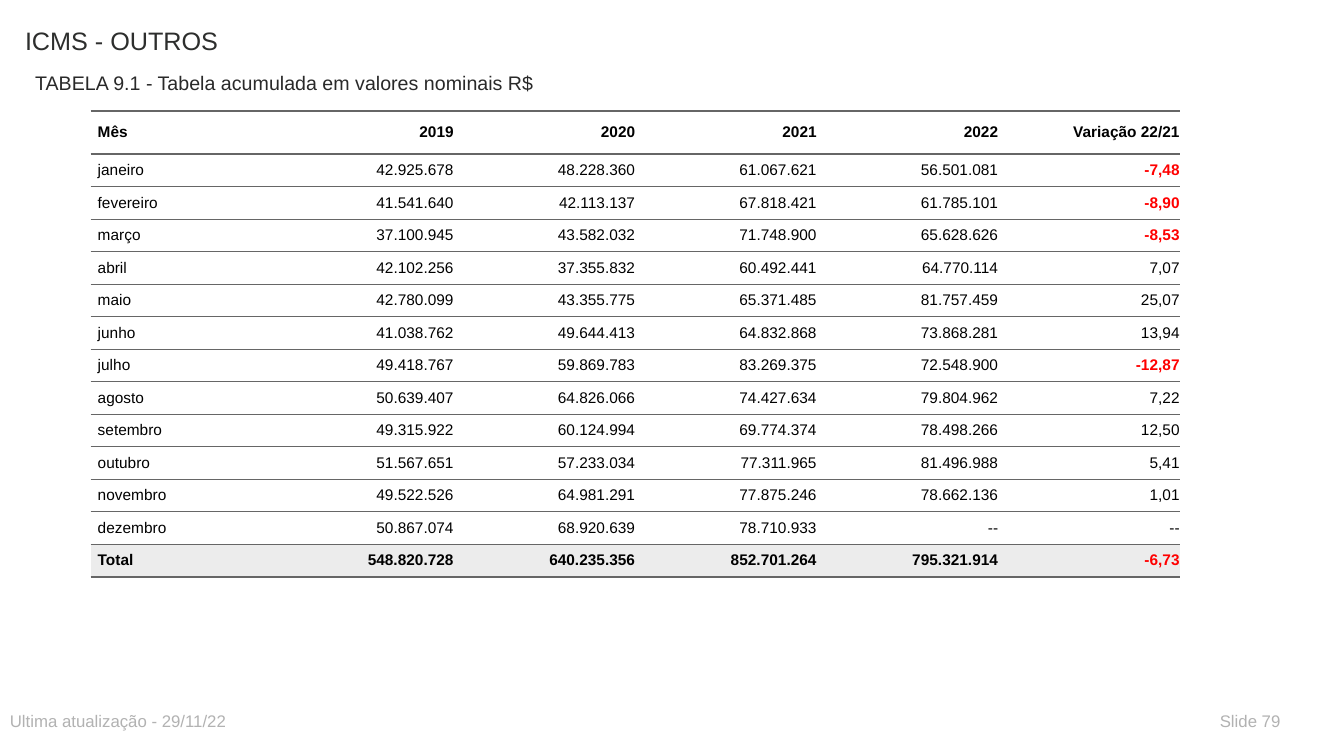
from dataclasses import dataclass

from lxml.etree import SubElement
from pptx import Presentation
from pptx.dml.color import RGBColor
from pptx.enum.text import MSO_ANCHOR, PP_ALIGN
from pptx.oxml.ns import qn
from pptx.slide import Slide
from pptx.table import _Cell as Cell
from pptx.text.text import TextFrame
from pptx.util import Emu, Inches, Pt

GRID = 0.05  # inches per grid column and grid row
COLORS = {
    "title": "2D2E2D",
    "subtitle": "292929",
    "footer": "B2B2B2",
    "text": "000000",
    "negative": "FF0000",
    "rule": "666666",
    "body": "FFFFFF",
    "total": "ECECEC",
}
NO_TABLE_STYLE = "{2D5ABB26-0587-4C30-8999-92F81FD0307C}"
THIN, THICK = 0.5, 2
CELL_MARGIN = Pt(5)


@dataclass(frozen=True)
class Caption:
    text: str
    column: int
    row: int
    columns: int
    rows: int
    size: int
    color: str


CAPTIONS = [
    Caption("ICMS - OUTROS", 3, 4, 160, 12, 18, "title"),
    Caption("TABELA 9.1 - Tabela acumulada em valores nominais R$",
            5, 13, 130, 6, 14, "subtitle"),
    Caption("Ultima atualização - 29/11/22", 0, 140, 130, 6, 12, "footer"),
    Caption("Slide 79", 240, 140, 18, 6, 12, "footer"),
]

REVENUE = [
    ("Mês", "2019", "2020", "2021", "2022", "Variação 22/21"),
    ("janeiro", "42.925.678", "48.228.360", "61.067.621", "56.501.081", "-7,48"),
    ("fevereiro", "41.541.640", "42.113.137", "67.818.421", "61.785.101", "-8,90"),
    ("março", "37.100.945", "43.582.032", "71.748.900", "65.628.626", "-8,53"),
    ("abril", "42.102.256", "37.355.832", "60.492.441", "64.770.114", "7,07"),
    ("maio", "42.780.099", "43.355.775", "65.371.485", "81.757.459", "25,07"),
    ("junho", "41.038.762", "49.644.413", "64.832.868", "73.868.281", "13,94"),
    ("julho", "49.418.767", "59.869.783", "83.269.375", "72.548.900", "-12,87"),
    ("agosto", "50.639.407", "64.826.066", "74.427.634", "79.804.962", "7,22"),
    ("setembro", "49.315.922", "60.124.994", "69.774.374", "78.498.266", "12,50"),
    ("outubro", "51.567.651", "57.233.034", "77.311.965", "81.496.988", "5,41"),
    ("novembro", "49.522.526", "64.981.291", "77.875.246", "78.662.136", "1,01"),
    ("dezembro", "50.867.074", "68.920.639", "78.710.933", "--", "--"),
    ("Total", "548.820.728", "640.235.356", "852.701.264", "795.321.914", "-6,73"),
]


def grid(units: float) -> Emu:
    return Inches(units * GRID)


def write(frame: TextFrame, text: str, *, size: int, color: str,
          bold: bool = False, align: PP_ALIGN = PP_ALIGN.LEFT,
          indent: Emu = Emu(0)) -> None:
    frame.word_wrap = True
    paragraph = frame.paragraphs[0]
    paragraph.alignment = align
    paragraph._p.get_or_add_pPr().set("marL", str(indent))
    run = paragraph.add_run()
    run.text = text
    run.font.name = "Arial"
    run.font.size = Pt(size)
    run.font.bold = bold
    run.font.color.rgb = RGBColor.from_string(COLORS[color])


def add_caption(slide: Slide, caption: Caption) -> None:
    box = slide.shapes.add_textbox(grid(caption.column), grid(caption.row),
                                   grid(caption.columns), grid(caption.rows))
    write(box.text_frame, caption.text, size=caption.size, color=caption.color)


def rule_cell(cell: Cell, top: float, bottom: float) -> None:
    """Draw the horizontal rules of a cell, with widths in points."""
    properties = cell._tc.get_or_add_tcPr()
    for side, width in (("a:lnT", top), ("a:lnB", bottom)):
        line = SubElement(properties, qn(side), w=str(Pt(width)))
        fill = SubElement(line, qn("a:solidFill"))
        SubElement(fill, qn("a:srgbClr"), val=COLORS["rule"])


def fill_cell(cell: Cell, text: str, *, is_label: bool, is_header: bool,
              is_total: bool, top: float, bottom: float) -> None:
    rule_cell(cell, top, bottom)
    cell.fill.solid()
    cell.fill.fore_color.rgb = RGBColor.from_string(
        COLORS["total" if is_total else "body"])
    cell.vertical_anchor = MSO_ANCHOR.MIDDLE
    cell.margin_left = cell.margin_right = 0
    cell.margin_top = cell.margin_bottom = CELL_MARGIN
    is_negative = text.startswith("-") and text != "--"
    write(cell.text_frame, text, size=11,
          color="negative" if is_negative else "text",
          bold=is_header or is_total or is_negative,
          align=PP_ALIGN.LEFT if is_label else PP_ALIGN.RIGHT,
          indent=CELL_MARGIN)


def add_revenue_table(slide: Slide) -> None:
    last = len(REVENUE) - 1
    frame = slide.shapes.add_table(len(REVENUE), len(REVENUE[0]), grid(18),
                                   grid(22), grid(216), grid(73.6))
    table = frame.table
    table.first_row = table.horz_banding = False
    table._tbl.tblPr.find(qn("a:tableStyleId")).text = NO_TABLE_STYLE
    for column in table.columns:
        column.width = grid(36)
    for index, values in enumerate(REVENUE):
        table.rows[index].height = grid(5 if index else 8.6)
        for position, text in enumerate(values):
            fill_cell(table.cell(index, position), text,
                      is_label=position == 0,
                      is_header=index == 0,
                      is_total=index == last,
                      top=THICK if index in (0, 1) else THIN,
                      bottom=THICK if index in (0, last) else THIN)


def main() -> None:
    deck = Presentation()
    deck.slide_width, deck.slide_height = Inches(13.33), Inches(7.5)
    slide = deck.slides.add_slide(deck.slide_layouts[6])
    for caption in CAPTIONS:
        add_caption(slide, caption)
    add_revenue_table(slide)
    deck.save("out.pptx")


if __name__ == "__main__":
    main()
